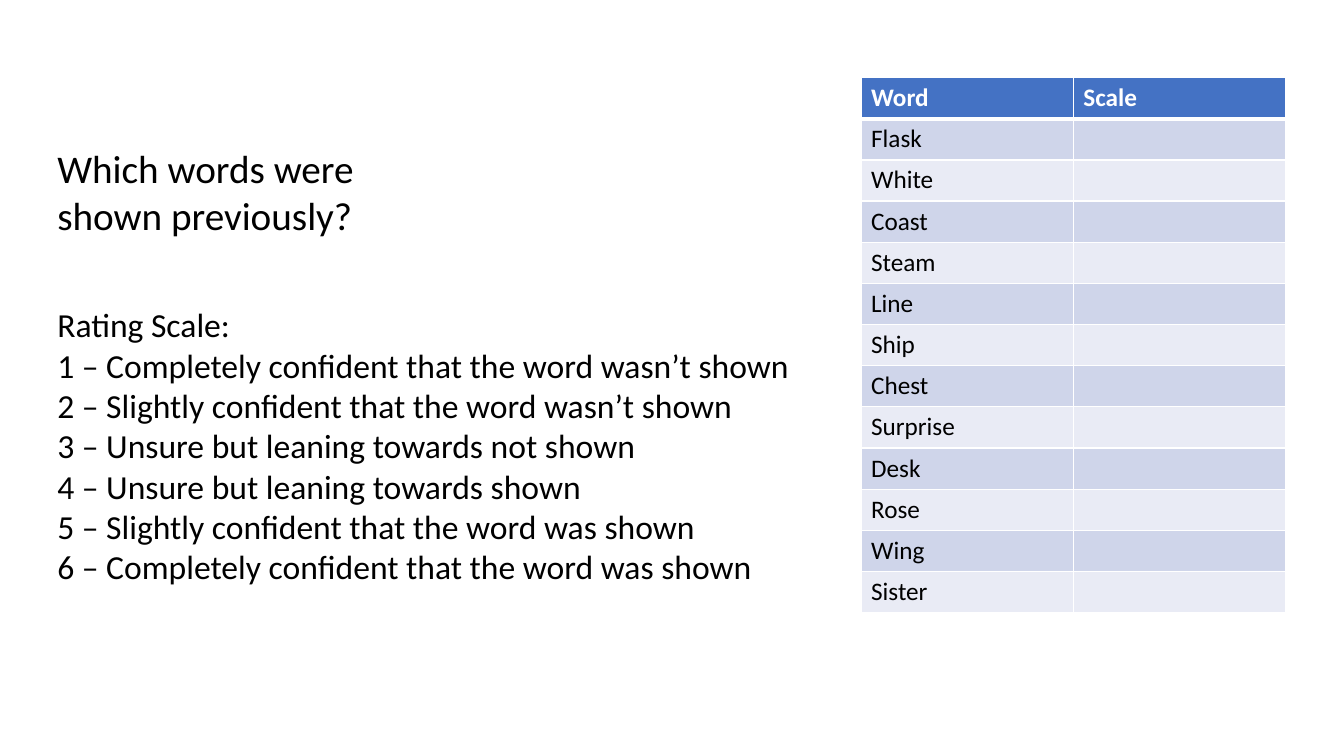
from pptx import Presentation
from pptx.dml.color import RGBColor
from pptx.enum.text import MSO_AUTO_SIZE
from pptx.oxml import parse_xml
from pptx.oxml.ns import nsdecls
from pptx.util import Inches, Pt

GROW = MSO_AUTO_SIZE.SHAPE_TO_FIT_TEXT
THEME = {
    "font": "Calibri", "ask": 28, "scale": 24, "cell": 18,
    "ink": "000000", "paper": "FFFFFF", "head": "4472C4",
    "bands": ("E9EBF5", "CFD5EA"),
}
WORDS = ["Flask", "White", "Coast", "Steam", "Line", "Ship", "Chest",
         "Surprise", "Desk", "Rose", "Wing", "Sister"]
ASK = ["Which words were", "shown previously?"]
SCALE = [
    "Completely confident that the word wasn’t shown",
    "Slightly confident that the word wasn’t shown",
    "Unsure but leaning towards not shown",
    "Unsure but leaning towards shown",
    "Slightly confident that the word was shown",
    "Completely confident that the word was shown",
]


def style(par, size, color, bold=False):
    font = par.font
    font.name, font.size, font.bold = THEME["font"], Pt(size), bold
    font.color.rgb = RGBColor.from_string(color)


deck = Presentation()
deck.slide_width, deck.slide_height = Inches(13.33), Inches(7.5)
slide = deck.slides.add_slide(deck.slide_layouts[6])

# Word table: a header, then one banded row per word
rows = [("Word", "Scale")] + [(word, "") for word in WORDS]
table = slide.shapes.add_table(
    len(rows), 2, Inches(8.54), Inches(0.77), Inches(4.21), Inches(5.31)).table
for r, row in enumerate(rows):
    head = r == 0
    for c, text in enumerate(row):
        cell = table.cell(r, c)
        cell.text = text
        style(cell.text_frame.paragraphs[0], THEME["cell"],
              THEME["paper"] if head else THEME["ink"], head)
        cell.fill.solid()
        cell.fill.fore_color.rgb = RGBColor.from_string(
            THEME["head"] if head else THEME["bands"][r % 2])
        # White rules, thicker between the header and the words
        thick = {"L": 1, "R": 1, "T": 3 if r == 1 else 1, "B": 3 if head else 1}
        for i, (side, width) in enumerate(thick.items()):
            cell._tc.get_or_add_tcPr().insert(i, parse_xml(
                f'<a:ln{side} {nsdecls("a")} w="{Pt(width)}"><a:solidFill>'
                f'<a:srgbClr val="{THEME["paper"]}"/></a:solidFill></a:ln{side}>'))

# Question and rating scale, on one left edge
legend = ["Rating Scale:"] + [f"{n} – {text}" for n, text in enumerate(SCALE, 1)]
blocks = [(ASK, 1.38, 4.32, 1.04, THEME["ask"], True),
          (legend, 2.97, 7.6, 2.93, THEME["scale"], False)]
for lines, top, width, height, size, wrap in blocks:
    frame = slide.shapes.add_textbox(
        Inches(0.47), Inches(top), Inches(width), Inches(height)).text_frame
    frame.text = "\n".join(lines)
    frame.word_wrap, frame.auto_size = wrap, GROW
    for par in frame.paragraphs:
        style(par, size, THEME["ink"])

deck.save("out.pptx")
